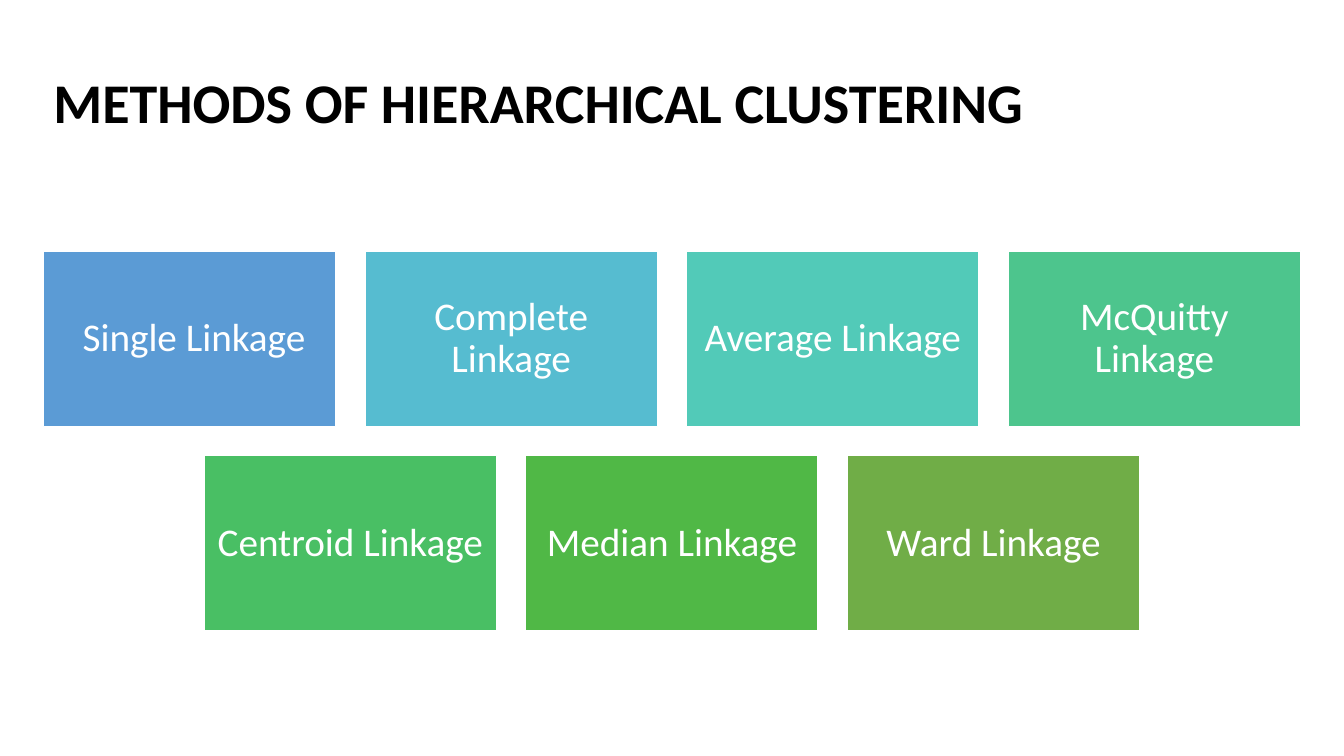
from pptx import Presentation
from pptx import util as u
from pptx.dml.color import RGBColor
from pptx.enum import shapes, text

BLACK = RGBColor(0x00, 0x00, 0x00)
WHITE = RGBColor(0xFF, 0xFF, 0xFF)
BLUE = RGBColor(0x5B, 0x9B, 0xD5)
CYAN = RGBColor(0x56, 0xBC, 0xD0)
TURQUOISE = RGBColor(0x52, 0xCA, 0xB8)
MINT = RGBColor(0x4D, 0xC5, 0x8D)
EMERALD = RGBColor(0x49, 0xBF, 0x64)
GREEN = RGBColor(0x50, 0xB8, 0x46)
OLIVE = RGBColor(0x70, 0xAD, 0x47)

LINKAGE_ROWS = [
    [(" Single Linkage", BLUE), ("Complete Linkage", CYAN),
     ("Average Linkage", TURQUOISE), ("McQuitty Linkage", MINT)],
    [("Centroid Linkage", EMERALD), ("Median Linkage", GREEN),
     ("Ward Linkage", OLIVE)],
]


def write(frame, words, size, color, bold=False, align=text.PP_ALIGN.LEFT,
          inset=0.1, font="Calibri"):
    frame.word_wrap = True
    frame.auto_size = text.MSO_AUTO_SIZE.NONE
    frame.vertical_anchor = text.MSO_ANCHOR.MIDDLE
    frame.margin_left = frame.margin_right = u.Inches(inset)
    frame.margin_top = frame.margin_bottom = u.Inches(inset)
    paragraph = frame.paragraphs[0]
    paragraph.alignment = align
    paragraph.line_spacing = 0.9
    run = paragraph.add_run()
    run.text = words
    run.font.name = font
    run.font.size = u.Pt(size)
    run.font.bold = bold
    run.font.color.rgb = color


class LinkageSlide:
    left, top = 0.43, 2.49
    tile_width, tile_height = 2.9, 1.74
    gap = 0.29
    columns = 4

    def __init__(self, deck):
        self.slide = deck.slides.add_slide(deck.slide_layouts[5])

    def title(self, words):
        heading = self.slide.shapes.title
        heading.left, heading.top = u.Inches(self.left), u.Inches(0.32)
        heading.width, heading.height = u.Inches(12.48), u.Inches(1.45)
        write(heading.text_frame, words, 40, BLACK, bold=True)

    def tile(self, column, row, words, fill):
        tile = self.slide.shapes.add_shape(
            shapes.MSO_SHAPE.RECTANGLE,
            u.Inches(self.left + column * (self.tile_width + self.gap)),
            u.Inches(self.top + row * (self.tile_height + self.gap)),
            u.Inches(self.tile_width), u.Inches(self.tile_height))
        tile.shadow.inherit = False
        tile.fill.solid()
        tile.fill.fore_color.rgb = fill
        tile.line.color.rgb = WHITE
        tile.line.width = u.Pt(1)
        write(tile.text_frame, words, 28, WHITE,
              align=text.PP_ALIGN.CENTER, inset=0.12)

    def centred_row(self, row, linkages):
        first_column = (self.columns - len(linkages)) / 2
        for offset, (words, fill) in enumerate(linkages):
            self.tile(first_column + offset, row, words, fill)


def main():
    deck = Presentation()
    deck.slide_width, deck.slide_height = u.Inches(13.33), u.Inches(7.5)
    methods = LinkageSlide(deck)
    methods.title("METHODS OF HIERARCHICAL CLUSTERING")
    for row, linkages in enumerate(LINKAGE_ROWS):
        methods.centred_row(row, linkages)
    deck.save("out.pptx")


if __name__ == "__main__":
    main()
